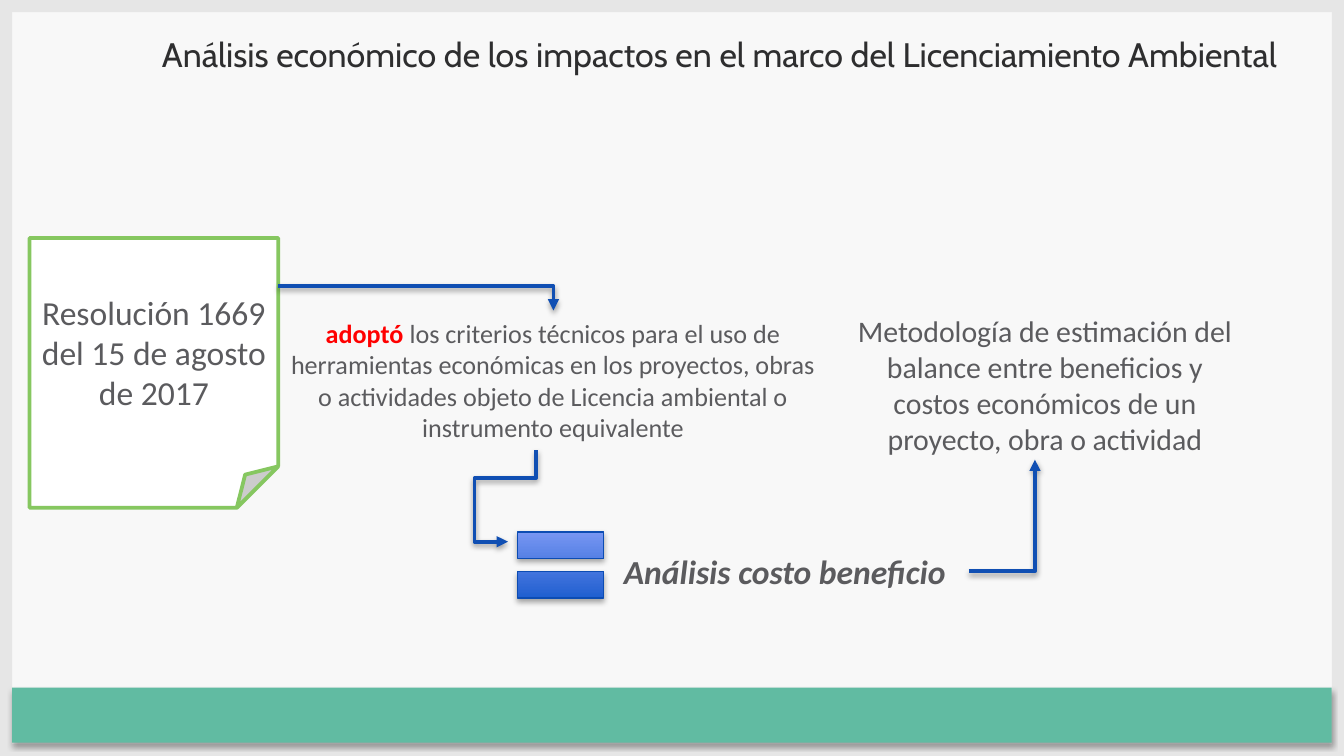
"""Build the slide on economic analysis within environmental licensing."""
from lxml.etree import SubElement
from pptx import Presentation
from pptx.dml.color import RGBColor
from pptx.enum.shapes import MSO_CONNECTOR, MSO_SHAPE
from pptx.enum.text import MSO_ANCHOR, PP_ALIGN
from pptx.oxml.ns import qn
from pptx.util import Cm, Pt

WIDTH, HEIGHT, EDGE, INSET = 25.4, 14.29, 0.23, 0.13
PAPER = RGBColor(0xF8, 0xF8, 0xF8)
FRAME = RGBColor(0xE6, 0xE6, 0xE6)
TEAL = RGBColor(0x61, 0xBB, 0xA2)
GREEN = RGBColor(0x86, 0xC7, 0x60)
WHITE = RGBColor(0xFF, 0xFF, 0xFF)
INK = RGBColor(0x2E, 0x2E, 0x2F)
GREY = RGBColor(0x5B, 0x5B, 0x5E)
RED = RGBColor(0xFF, 0x00, 0x00)
ARROW_BLUE = RGBColor(0x10, 0x4F, 0xB3)
OUTLINE_BLUE = RGBColor(0x0C, 0x4C, 0xB3)
DEEP_BLUE = RGBColor(0x00, 0x4B, 0xC3)
PALE_BLUE = RGBColor(0x98, 0xAA, 0xFF)

FRAME_EDGES = [
    (0, 0, WIDTH, EDGE),
    (0, HEIGHT - EDGE, WIDTH, EDGE),
    (0, 0, EDGE, HEIGHT),
    (WIDTH - EDGE, 0, EDGE, HEIGHT),
]
FOOTER = (EDGE, 13, WIDTH - 2 * EDGE, 1.04)

RESOLUTION_BOX = (0.56, 4.5, 4.7, 5.1)
RESOLUTION = [("Resolución 1669 del 15 de agosto de 2017", GREY, False)]
EQUALS_BOX = (9.49, 9.62, 2.21, 2.12)

TEXTS = [
    {"box": (2.92, 0.51, 21.39, 2.24), "size": 18.2, "font": "Cabin",
     "runs": [("Análisis económico de los impactos en el marco del "
               "Licenciamiento Ambiental", INK, False)]},
    {"box": (5.26, 5.87, 10.39, 2.64), "size": 14,
     "runs": [("adoptó", RED, True),
              (" los criterios técnicos para el uso de herramientas económicas "
               "en los proyectos, obras o actividades objeto de Licencia "
               "ambiental o instrumento equivalente", GREY, False)]},
    {"box": (11.66, 10.29, 6.38, 1.04), "size": 18, "align": PP_ALIGN.LEFT,
     "italic": True, "wrap": False,
     "runs": [("Análisis costo beneficio", GREY, True)]},
    {"box": (16.08, 5.79, 7.34, 2.95), "size": 16,
     "runs": [("Metodología de estimación del balance entre beneficios y costos "
               "económicos de un proyecto, obra o actividad", GREY, False)]},
]

CORNER_ARROWS = [
    ((5.26, 5.41), (10.46, 5.87)),
    ((18.31, 10.8), (19.56, 8.69)),
]
DETOUR = [(10.13, 8.51), (10.13, 9.04), (8.97, 9.04), (8.97, 10.24), (9.6, 10.24)]


def lengths(values):
    return [Cm(value) for value in values]


def set_shadow(shape, opacity=0, blur=3, distance=1.8):
    effects = SubElement(shape._element.spPr, qn("a:effectLst"))
    if opacity:
        outer = SubElement(effects, qn("a:outerShdw"), blurRad=str(Pt(blur)),
                           dist=str(Pt(distance)), dir="5400000", rotWithShape="0")
        black = SubElement(outer, qn("a:srgbClr"), val="000000")
        SubElement(black, qn("a:alpha"), val=str(opacity * 1000))


def set_outline(shape, color, width):
    shape.line.color.rgb = color
    shape.line.width = Pt(width)


def add_bar(shapes, box, color, opacity=0):
    bar = shapes.add_shape(MSO_SHAPE.RECTANGLE, *lengths(box))
    bar.fill.solid()
    bar.fill.fore_color.rgb = color
    bar.line.fill.background()
    set_shadow(bar, opacity)


def write(frame, runs, size, font="Calibri", align=PP_ALIGN.CENTER, italic=False,
          wrap=True, anchor=MSO_ANCHOR.TOP):
    frame.word_wrap = wrap
    frame.vertical_anchor = anchor
    frame.margin_left = frame.margin_right = Cm(INSET)
    frame.margin_top = frame.margin_bottom = Cm(INSET)
    paragraph = frame.paragraphs[0]
    paragraph.alignment = align
    for words, color, bold in runs:
        run = paragraph.add_run()
        run.text = words
        run.font.name = font
        run.font.size = Pt(size)
        run.font.bold = bold
        run.font.italic = italic
        run.font.color.rgb = color


def style_arrow(arrow):
    set_outline(arrow, ARROW_BLUE, 2)
    SubElement(arrow.line._get_or_add_ln(), qn("a:tailEnd"), type="triangle")
    set_shadow(arrow, 38, 3, 1.6)


def add_corner_arrow(shapes, start, end):
    arrow = shapes.add_connector(MSO_CONNECTOR.ELBOW, *lengths(start + end))
    arrow._element.spPr.find(qn("a:prstGeom")).set("prst", "bentConnector2")
    style_arrow(arrow)


def add_detour_arrow(shapes, points):
    start, *bends = [lengths(point) for point in points]
    outline = shapes.build_freeform(*start)
    outline.add_line_segments(bends, close=False)
    arrow = outline.convert_to_shape()
    arrow.fill.background()
    style_arrow(arrow)


def add_resolution(shapes):
    note = shapes.add_shape(MSO_SHAPE.FOLDED_CORNER, *lengths(RESOLUTION_BOX))
    note.fill.solid()
    note.fill.fore_color.rgb = WHITE
    set_outline(note, GREEN, 2)
    set_shadow(note)
    write(note.text_frame, RESOLUTION, 18, anchor=MSO_ANCHOR.MIDDLE)


def add_equals(shapes):
    equals = shapes.add_shape(MSO_SHAPE.MATH_EQUAL, *lengths(EQUALS_BOX))
    equals.fill.gradient()
    equals.fill.gradient_angle = 90
    for stop, color in zip(equals.fill.gradient_stops, (DEEP_BLUE, PALE_BLUE)):
        stop.color.rgb = color
    set_outline(equals, OUTLINE_BLUE, 0.75)
    set_shadow(equals, 35)


def main():
    deck = Presentation()
    deck.slide_width, deck.slide_height = lengths((WIDTH, HEIGHT))
    slide = deck.slides.add_slide(deck.slide_layouts[6])
    slide.background.fill.solid()
    slide.background.fill.fore_color.rgb = PAPER
    shapes = slide.shapes

    for edge in FRAME_EDGES:
        add_bar(shapes, edge, FRAME)
    add_bar(shapes, FOOTER, TEAL, 35)
    add_resolution(shapes)
    add_equals(shapes)
    for text in TEXTS:
        options = dict(text)
        box = shapes.add_textbox(*lengths(options.pop("box")))
        write(box.text_frame, **options)
    for start, end in CORNER_ARROWS:
        add_corner_arrow(shapes, start, end)
    add_detour_arrow(shapes, DETOUR)

    deck.save("out.pptx")


if __name__ == "__main__":
    main()
